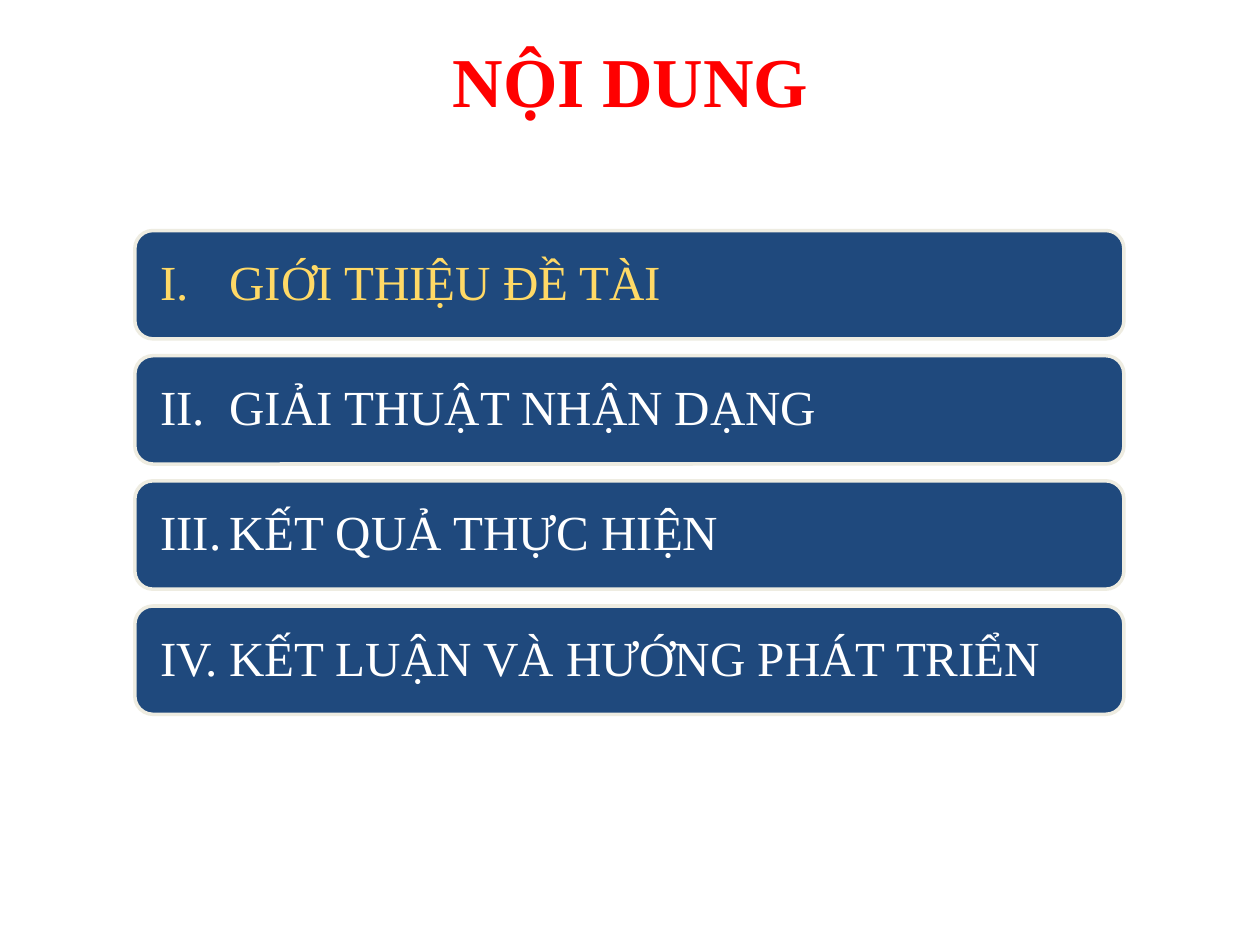
import pptx
import pptx.util
import pptx.dml.color
import pptx.enum.shapes
import pptx.enum.text
from pptx.util import Inches

FONT = "Times New Roman"
SECTIONS = [
    ("I.", "GIỚI THIỆU ĐỀ TÀI"),
    ("II.", "GIẢI THUẬT NHẬN DẠNG"),
    ("III.", "KẾT QUẢ THỰC HIỆN"),
    ("IV.", "KẾT LUẬN VÀ HƯỚNG PHÁT TRIỂN"),
]
CURRENT_SECTION = 0


def color(hex_string):
    return pptx.dml.color.RGBColor.from_string(hex_string)


def set_font(paragraph, size, hex_string, bold=False):
    font = paragraph.font
    font.name, font.size, font.bold = FONT, pptx.util.Pt(size), bold
    font.color.rgb = color(hex_string)


def add_title(slide, text, left, top, width, height):
    title = slide.shapes.title
    title.left, title.top, title.width, title.height = left, top, width, height
    frame = title.text_frame
    frame.text = text
    frame.auto_size = pptx.enum.text.MSO_AUTO_SIZE.NONE
    frame.vertical_anchor = pptx.enum.text.MSO_ANCHOR.TOP
    paragraph = frame.paragraphs[0]
    paragraph.alignment = pptx.enum.text.PP_ALIGN.CENTER
    set_font(paragraph, 40, "FF0000", bold=True)


def add_section_bar(slide, numeral, name, text_color, left, top, width, height):
    bar = slide.shapes.add_shape(
        pptx.enum.shapes.MSO_SHAPE.ROUNDED_RECTANGLE, left, top, width, height)
    bar.shadow.inherit = False
    bar.fill.solid()
    bar.fill.fore_color.rgb = color("1F497D")
    bar.line.color.rgb = color("EEECE1")
    bar.line.width = pptx.util.Pt(2)

    frame = bar.text_frame
    frame.word_wrap = True
    frame.vertical_anchor = pptx.enum.text.MSO_ANCHOR.MIDDLE
    frame.margin_left = frame.margin_top = frame.margin_bottom = Inches(0.16)
    frame.margin_right = Inches(0.12)
    frame.text = f"{numeral}\t{name}"
    paragraph = frame.paragraphs[0]
    paragraph.alignment = pptx.enum.text.PP_ALIGN.LEFT
    paragraph.line_spacing = 0.9
    set_font(paragraph, 28, text_color)

    # Hanging indent: the tab carries every name to the same edge
    properties = paragraph._p.get_or_add_pPr()
    properties.set("marL", str(Inches(0.55)))
    properties.set("indent", str(-Inches(0.55)))


def add_agenda(slide, left, top, width, height):
    bar_height = Inches(0.86)
    pitch = (height - bar_height) // (len(SECTIONS) - 1)
    for index, (numeral, name) in enumerate(SECTIONS):
        text_color = "FFD966" if index == CURRENT_SECTION else "FFFFFF"
        add_section_bar(slide, numeral, name, text_color,
                        left, top + index * pitch, width, bar_height)


def main():
    presentation = pptx.Presentation()
    presentation.slide_width = Inches(10)
    presentation.slide_height = Inches(7.5)
    slide = presentation.slides.add_slide(presentation.slide_layouts[5])

    # Title
    add_title(slide, "NỘI DUNG",
              Inches(3.2), Inches(0.25), Inches(3.61), Inches(0.76))
    # Section list
    add_agenda(slide, Inches(1.07), Inches(1.83), Inches(7.85), Inches(3.84))

    presentation.save("out.pptx")


if __name__ == "__main__":
    main()
